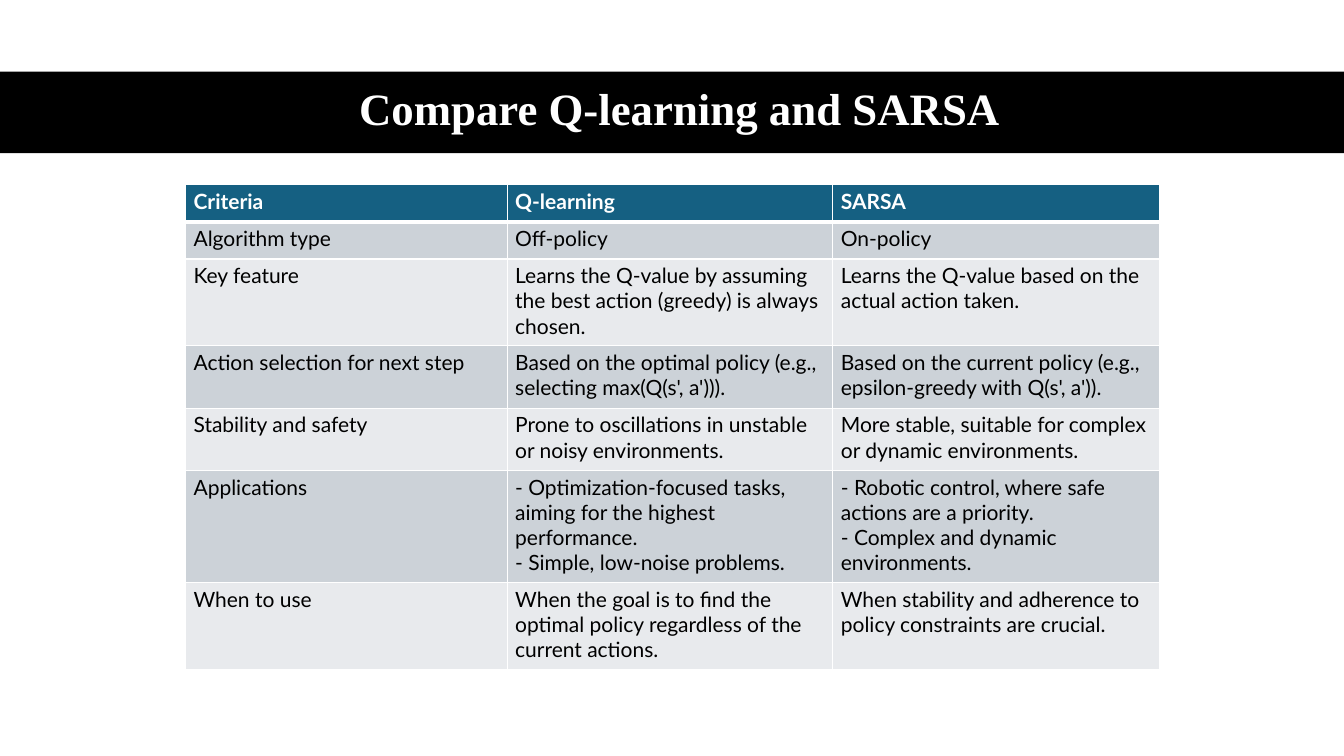
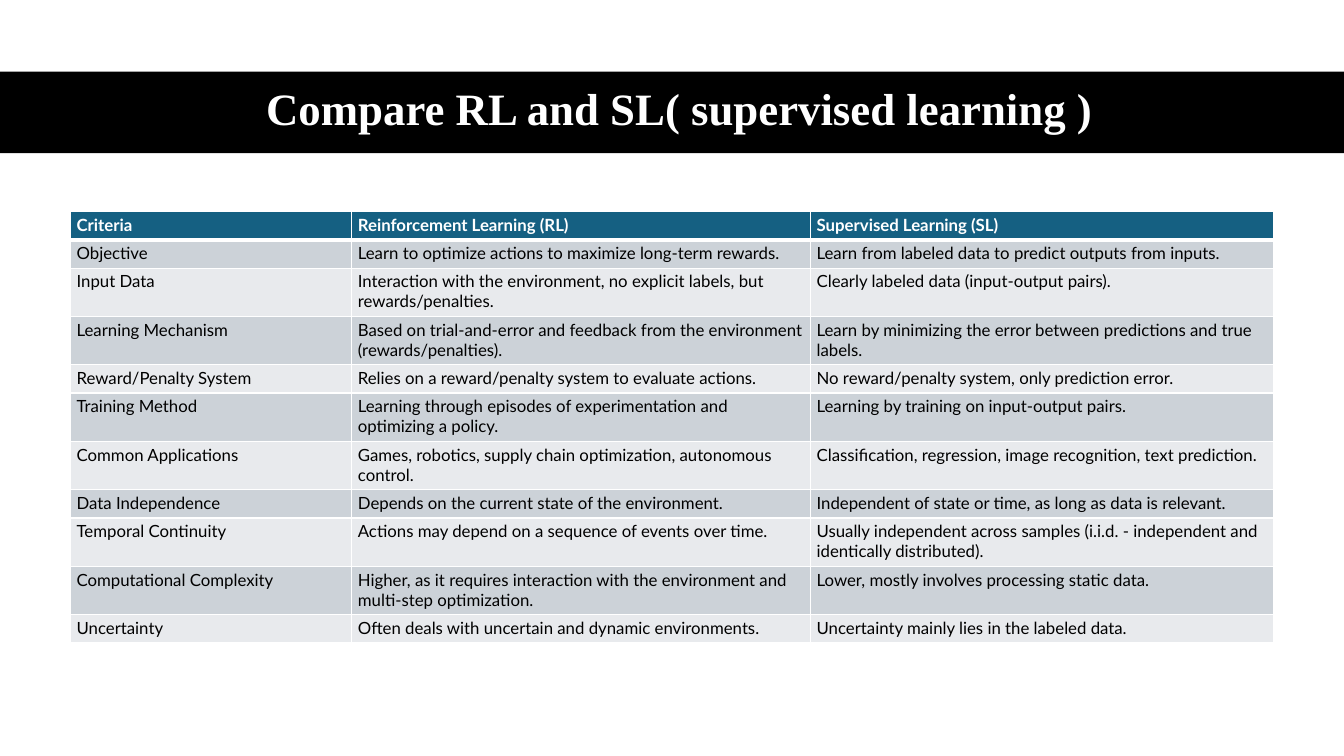
from dataclasses import dataclass

from lxml.etree import SubElement
from pptx import Presentation
from pptx.dml.color import RGBColor
from pptx.enum.shapes import MSO_SHAPE
from pptx.enum.text import MSO_ANCHOR, MSO_AUTO_SIZE, PP_ALIGN
from pptx.oxml.ns import qn
from pptx.presentation import Presentation as Deck
from pptx.slide import Slide
from pptx.table import _Cell as Cell
from pptx.text.text import TextFrame
from pptx.util import Inches, Pt

WHITE = RGBColor(0xFF, 0xFF, 0xFF)
BLACK = RGBColor(0x00, 0x00, 0x00)
HEADER_BLUE = RGBColor(0x15, 0x60, 0x82)
BAND_DARK = RGBColor(0xCC, 0xD2, 0xD8)
BAND_LIGHT = RGBColor(0xE8, 0xEA, 0xED)
TITLE_FONT = "Times New Roman"
TABLE_FONT = "Lato"
TITLE_ONLY = 5
THIN, THICK = 1, 3


@dataclass(frozen=True)
class Comparison:
    """A titled comparison table with its measures in inches and points."""

    title: str
    left: float
    top: float
    column_widths: tuple[float, ...]
    row_heights: tuple[float, ...]
    font_size: float
    margin_x: float
    margin_y: float
    rows: tuple[tuple[str, ...], ...]


COMPARISONS = (
    Comparison(
        title="Compare Q-learning and SARSA",
        left=1.84,
        top=1.83,
        column_widths=(3.19, 3.23, 3.24),
        row_heights=(0.37, 0.37, 0.86, 0.62, 0.62, 1.11, 0.86),
        font_size=15,
        margin_x=0.08,
        margin_y=0.04,
        rows=(
            ("Criteria", "Q-learning", "SARSA"),
            ("Algorithm type", "Off-policy", "On-policy"),
            ("Key feature",
             "Learns the Q-value by assuming the best action (greedy) is always chosen.",
             "Learns the Q-value based on the actual action taken."),
            ("Action selection for next step",
             "Based on the optimal policy (e.g., selecting max(Q(s', a'))).",
             "Based on the current policy (e.g., epsilon-greedy with Q(s', a'))."),
            ("Stability and safety",
             "Prone to oscillations in unstable or noisy environments.",
             "More stable, suitable for complex or dynamic environments."),
            ("Applications",
             "- Optimization-focused tasks, aiming for the highest performance.\n"
             "- Simple, low-noise problems.",
             "- Robotic control, where safe actions are a priority.\n"
             "- Complex and dynamic environments."),
            ("When to use",
             "When the goal is to find the optimal policy regardless of the current actions.",
             "When stability and adherence to policy constraints are crucial."),
        ),
    ),
    Comparison(
        title="Compare RL and SL( supervised learning )",
        left=0.7,
        top=2.1,
        column_widths=(2.79, 4.55, 4.59),
        row_heights=(0.28, 0.28, 0.48, 0.48, 0.28, 0.48, 0.48, 0.28, 0.48, 0.48, 0.28),
        font_size=12,
        margin_x=0.06,
        margin_y=0.03,
        rows=(
            ("Criteria", "Reinforcement Learning (RL)", "Supervised Learning (SL)"),
            ("Objective",
             "Learn to optimize actions to maximize long-term rewards.",
             "Learn from labeled data to predict outputs from inputs."),
            ("Input Data",
             "Interaction with the environment, no explicit labels, but rewards/penalties.",
             "Clearly labeled data (input-output pairs)."),
            ("Learning Mechanism",
             "Based on trial-and-error and feedback from the environment (rewards/penalties).",
             "Learn by minimizing the error between predictions and true labels."),
            ("Reward/Penalty System",
             "Relies on a reward/penalty system to evaluate actions.",
             "No reward/penalty system, only prediction error."),
            ("Training Method",
             "Learning through episodes of experimentation and optimizing a policy.",
             "Learning by training on input-output pairs."),
            ("Common Applications",
             "Games, robotics, supply chain optimization, autonomous control.",
             "Classification, regression, image recognition, text prediction."),
            ("Data Independence",
             "Depends on the current state of the environment.",
             "Independent of state or time, as long as data is relevant."),
            ("Temporal Continuity",
             "Actions may depend on a sequence of events over time.",
             "Usually independent across samples (i.i.d. - independent and "
             "identically distributed)."),
            ("Computational Complexity",
             "Higher, as it requires interaction with the environment and "
             "multi-step optimization.",
             "Lower, mostly involves processing static data."),
            ("Uncertainty",
             "Often deals with uncertain and dynamic environments.",
             "Uncertainty mainly lies in the labeled data."),
        ),
    ),
)


def write_text(
    frame: TextFrame,
    text: str,
    *,
    font: str,
    size: float,
    color: RGBColor,
    bold: bool = False,
    align: PP_ALIGN = PP_ALIGN.LEFT,
    line_spacing: float = 1.0,
) -> None:
    """Fill a text frame with one formatted paragraph per line of text."""
    frame.text = text
    for paragraph in frame.paragraphs:
        paragraph.alignment = align
        paragraph.line_spacing = line_spacing
        for run in paragraph.runs:
            run.font.name = font
            run.font.size = Pt(size)
            run.font.color.rgb = color
            run.font.bold = bold


def set_borders(cell: Cell, top: float, bottom: float) -> None:
    """Give a cell white borders, thin at the sides."""
    properties = cell._tc.get_or_add_tcPr()
    widths = {"a:lnL": THIN, "a:lnR": THIN, "a:lnT": top, "a:lnB": bottom}
    for tag, width in widths.items():
        line = SubElement(properties, qn(tag), w=str(Pt(width)))
        fill = SubElement(line, qn("a:solidFill"))
        SubElement(fill, qn("a:srgbClr"), val=str(WHITE))


def add_title(slide: Slide, text: str, slide_width: int) -> None:
    """Place the title over a black band as wide as the slide."""
    title = slide.shapes.title
    title.left, title.top = Inches(0.61), Inches(0.7)
    title.width, title.height = Inches(12.26), Inches(0.81)
    frame = title.text_frame
    frame.word_wrap = True
    frame.auto_size = MSO_AUTO_SIZE.NONE
    frame.vertical_anchor = MSO_ANCHOR.MIDDLE
    write_text(frame, text, font=TITLE_FONT, size=32, color=WHITE, bold=True,
               align=PP_ALIGN.CENTER, line_spacing=0.9)

    band = slide.shapes.add_shape(
        MSO_SHAPE.RECTANGLE, 0, Inches(0.71), slide_width, Inches(0.81))
    band.shadow.inherit = False
    band.fill.solid()
    band.fill.fore_color.rgb = BLACK
    band.line.fill.background()
    title.element.addprevious(band.element)


def add_comparison_table(slide: Slide, comparison: Comparison) -> None:
    """Draw the table with a blue header and alternating grey rows."""
    table = slide.shapes.add_table(
        len(comparison.rows),
        len(comparison.column_widths),
        Inches(comparison.left),
        Inches(comparison.top),
        Inches(sum(comparison.column_widths)),
        Inches(sum(comparison.row_heights)),
    ).table
    for column, width in zip(table.columns, comparison.column_widths):
        column.width = Inches(width)
    for row, height in zip(table.rows, comparison.row_heights):
        row.height = Inches(height)

    for row_index, texts in enumerate(comparison.rows):
        is_header = row_index == 0
        band_color = BAND_DARK if row_index % 2 else BAND_LIGHT
        for column_index, text in enumerate(texts):
            cell = table.cell(row_index, column_index)
            cell.margin_left = cell.margin_right = Inches(comparison.margin_x)
            cell.margin_top = cell.margin_bottom = Inches(comparison.margin_y)
            set_borders(cell, top=THICK if row_index == 1 else THIN,
                        bottom=THICK if is_header else THIN)
            cell.fill.solid()
            cell.fill.fore_color.rgb = HEADER_BLUE if is_header else band_color
            write_text(cell.text_frame, text, font=TABLE_FONT,
                       size=comparison.font_size,
                       color=WHITE if is_header else BLACK, bold=is_header)


def add_comparison_slide(presentation: Deck, comparison: Comparison) -> None:
    """Add one slide holding a title and its comparison table."""
    slide = presentation.slides.add_slide(presentation.slide_layouts[TITLE_ONLY])
    add_title(slide, comparison.title, presentation.slide_width)
    add_comparison_table(slide, comparison)


def main() -> None:
    """Build and save the presentation."""
    presentation = Presentation()
    presentation.slide_width = Inches(13.33)
    presentation.slide_height = Inches(7.5)
    for comparison in COMPARISONS:
        add_comparison_slide(presentation, comparison)
    presentation.save("out.pptx")


if __name__ == "__main__":
    main()
